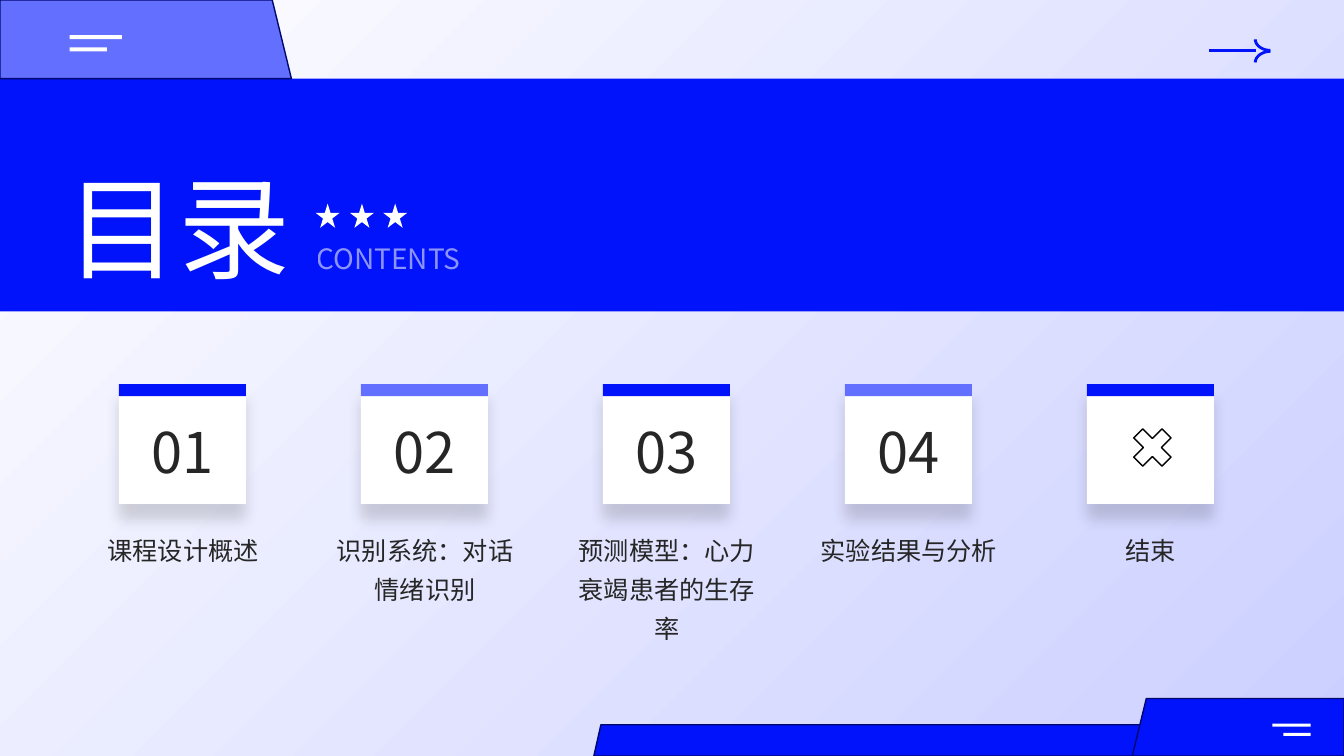
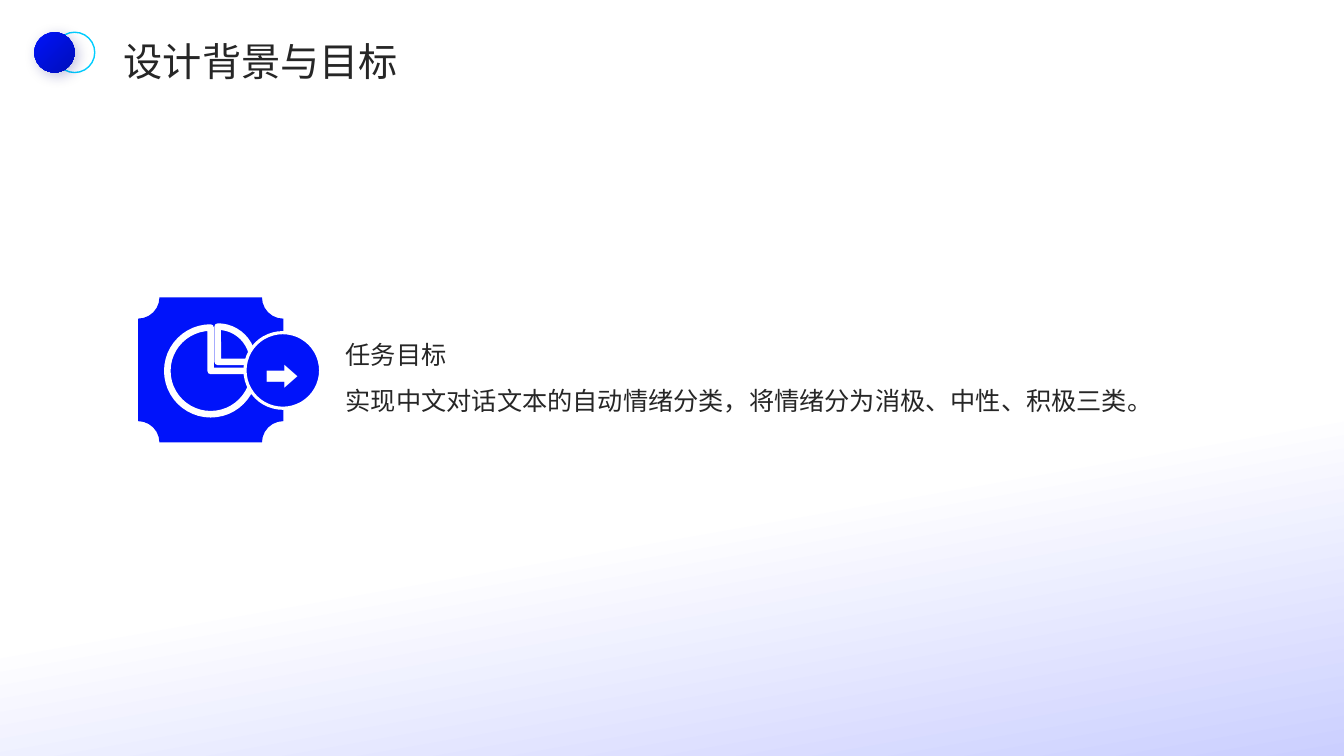
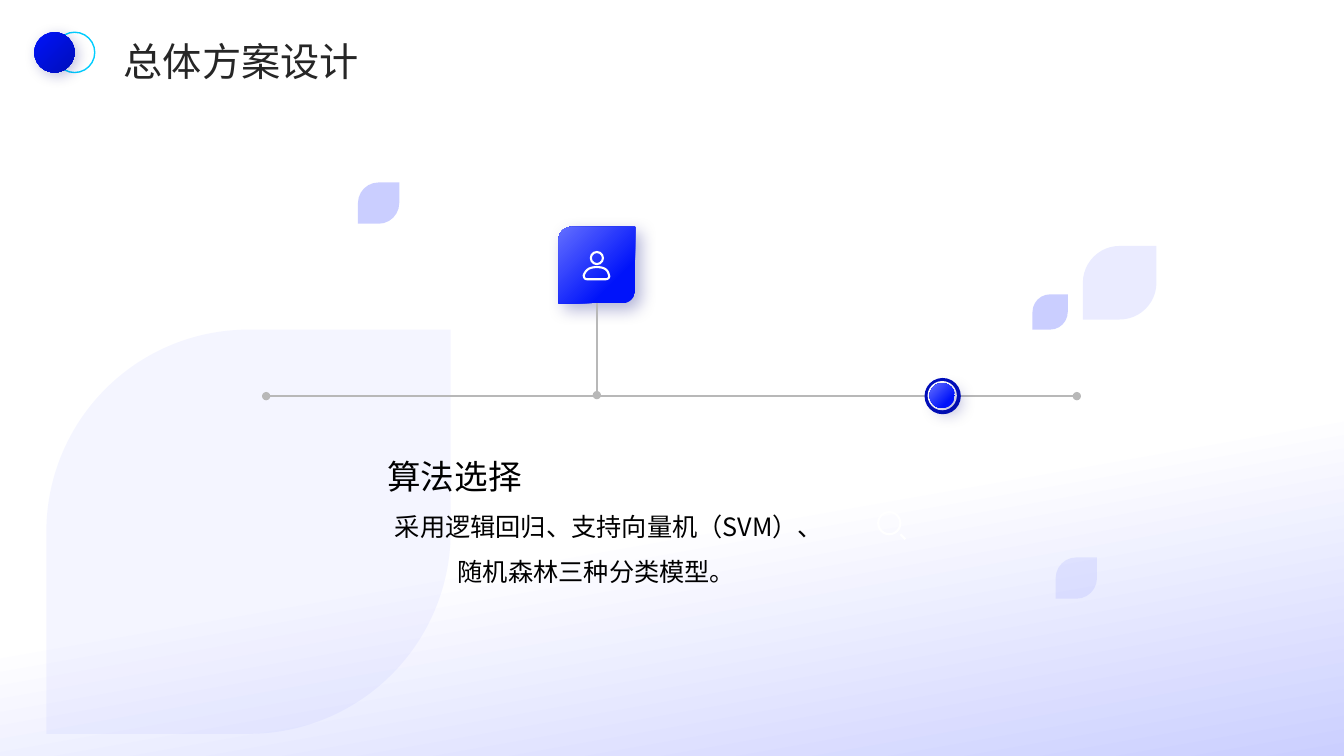
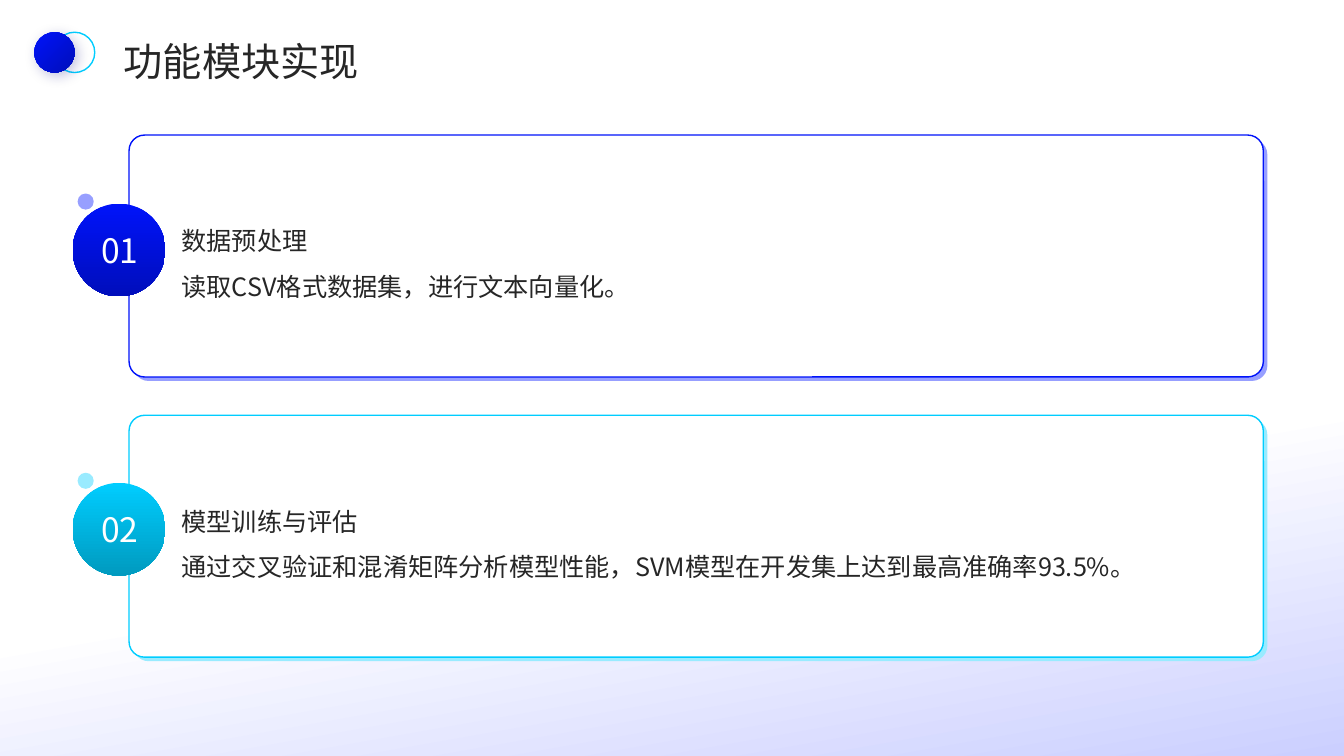
"""Build four course-design slides: contents, goals, overall plan and modules."""
from dataclasses import dataclass
from typing import Any, Optional

from lxml import etree
from pptx import Presentation
from pptx.dml.color import RGBColor
from pptx.enum.shapes import MSO_CONNECTOR, MSO_SHAPE as Shape
from pptx.enum.text import MSO_ANCHOR as Anchor, PP_ALIGN as Align
from pptx.oxml.ns import qn
from pptx.util import Emu, Pt

PX = 9144
WIDTH, HEIGHT = 1333, 750
FONT = "Noto Sans CJK SC"
BLUE, DEEP, PERIWINKLE, LILAC, MIST = "0013FA", "000EBB", "636FFF", "979FFF", "CBCFFF"
CYAN, TEAL, ICE = "00CDFF", "009ABF", "99EBFF"
WHITE, BLACK, INK, GREY, NAVY, EDGE = "FFFFFF", "000000", "262626", "B8B8B8", "00097D", "00086E"

Point = tuple[float, float]


@dataclass(frozen=True)
class Box:
    left: int
    top: int
    width: int
    height: int

    def emu(self) -> tuple[Emu, ...]:
        return tuple(Emu(n * PX) for n in (self.left, self.top, self.width, self.height))


@dataclass(frozen=True)
class Gradient:
    stops: tuple[tuple[int, str], ...]
    angle: Optional[int] = None


@dataclass(frozen=True)
class Shadow:
    color: str
    alpha: int
    blur: int
    distance: int
    angle: int


@dataclass(frozen=True)
class Module:
    number: str
    heading: str
    body: str
    top: int
    circle_top: int
    color: str
    dark: str
    pale: str


PAGE = Box(0, 0, WIDTH, HEIGHT)
PAGE_FILL = Gradient(((2, WHITE), (65, WHITE), (100, MIST)), 80)
GLOW_FILL = Gradient(((0, PERIWINKLE), (73, BLUE)))
GLOW_SHADOW = Shadow(NAVY, 30, 12, 6, 45)
CONTENTS = ("课程设计概述", "识别系统：对话情绪识别", "预测模型：心力衰竭患者的生存率", "实验结果与分析", "结束")
MODULES = (
    Module("01", "数据预处理", "读取CSV格式数据集，进行文本向量化。", 134, 202, BLUE, DEEP, LILAC),
    Module("02", "模型训练与评估", "通过交叉验证和混淆矩阵分析模型性能，SVM模型在开发集上达到最高准确率93.5%。",
           412, 479, CYAN, TEAL, ICE),
)
LEAVES = ((Box(1047, 553, 41, 41), 20), (Box(1024, 292, 35, 35), 50),
          (Box(355, 181, 41, 41), 50), (Box(1074, 244, 73, 73), 20))


def rgb(color: str) -> RGBColor:
    return RGBColor.from_string(color)


def child(parent: Any, tag: str, **attributes: Any) -> Any:
    return etree.SubElement(parent, qn(tag), {key: str(value) for key, value in attributes.items()})


def set_alpha(fill_parent: Any, percent: int) -> None:
    color = next(fill_parent.iter(qn("a:srgbClr")))
    child(color, "a:alpha", val=percent * 1000)


def set_gradient(shape: Any, gradient: Gradient) -> None:
    shape.fill.solid()
    properties = shape._element.spPr
    solid = properties.find(qn("a:solidFill"))
    fill = etree.Element(qn("a:gradFill"), rotWithShape="1")
    stops = child(fill, "a:gsLst")
    for position, color in gradient.stops:
        child(child(stops, "a:gs", pos=position * 1000), "a:srgbClr", val=color)
    if gradient.angle is None:
        child(child(fill, "a:path", path="circle"), "a:fillToRect", r=100000, b=100000)
    else:
        child(fill, "a:lin", ang=gradient.angle * 60000, scaled=0)
    properties.replace(solid, fill)


def set_shadow(shape: Any, shadow: Shadow) -> None:
    effects = shape._element.spPr.find(qn("a:effectLst"))
    outer = child(effects, "a:outerShdw", blurRad=Pt(shadow.blur), dist=Pt(shadow.distance),
                  dir=shadow.angle * 60000, algn="t", rotWithShape=0)
    color = child(outer, "a:srgbClr", val=shadow.color)
    child(color, "a:alpha", val=shadow.alpha * 1000)


def style(shape: Any, fill: str | Gradient | None, line: Optional[str], weight: float) -> Any:
    shape.shadow.inherit = False
    if isinstance(fill, Gradient):
        set_gradient(shape, fill)
    elif fill:
        shape.fill.solid()
        shape.fill.fore_color.rgb = rgb(fill)
    else:
        shape.fill.background()
    if line:
        shape.line.color.rgb = rgb(line)
        shape.line.width = Pt(weight)
    else:
        shape.line.fill.background()
    return shape


def add_shape(slide: Any, kind: Shape, box: Box, fill: str | Gradient | None = None,
              line: Optional[str] = None, weight: float = 1, adjust: tuple[float, ...] = (),
              shadow: Optional[Shadow] = None) -> Any:
    shape = slide.shapes.add_shape(kind, *box.emu())
    for index, value in enumerate(adjust):
        shape.adjustments[index] = value
    style(shape, fill, line, weight)
    if shadow:
        set_shadow(shape, shadow)
    return shape


def add_outline(slide: Any, points: list[Point], fill: Optional[str], line: str,
                weight: float = 1, close: bool = True) -> Any:
    corners = [(round(x * PX), round(y * PX)) for x, y in points]
    builder = slide.shapes.build_freeform(*corners[0], scale=1.0)
    builder.add_line_segments(corners[1:], close=close)
    return style(builder.convert_to_shape(), fill, line, weight)


def curve(start: Point, first: Point, second: Point, end: Point, steps: int = 12) -> list[Point]:
    points = []
    for step in range(steps + 1):
        t = step / steps
        weights = ((1 - t) ** 3, 3 * t * (1 - t) ** 2, 3 * t * t * (1 - t), t ** 3)
        handles = (start, first, second, end)
        points.append((sum(w * p[0] for w, p in zip(weights, handles)),
                       sum(w * p[1] for w, p in zip(weights, handles))))
    return points


def add_line(slide: Any, start: tuple[int, int], end: tuple[int, int], color: str,
             weight: float, head: bool = False, tail: bool = False) -> Any:
    connector = slide.shapes.add_connector(
        MSO_CONNECTOR.STRAIGHT, *(Emu(n * PX) for n in (*start, *end)))
    connector.line.color.rgb = rgb(color)
    connector.line.width = Pt(weight)
    line = connector.line._get_or_add_ln()
    for tag, wanted in (("a:headEnd", head), ("a:tailEnd", tail)):
        if wanted:
            child(line, tag, type="oval")
    child(connector._element.spPr, "a:effectLst")
    return connector


def add_text(slide: Any, box: Box, lines: list[str], size: float, color: str, align: Align = Align.LEFT,
             spacing: float = 1.0, middle: bool = False, inset: bool = True) -> Any:
    frame = slide.shapes.add_textbox(*box.emu()).text_frame
    frame.word_wrap = True
    frame.vertical_anchor = Anchor.MIDDLE if middle else Anchor.TOP
    if not inset:
        frame.margin_left = frame.margin_right = frame.margin_top = frame.margin_bottom = 0
    frame.text = "\n".join(lines)
    for paragraph in frame.paragraphs:
        paragraph.alignment = align
        paragraph.line_spacing = spacing
        for run in paragraph.runs:
            run.font.size = Pt(size)
            run.font.name = FONT
            run.font.color.rgb = rgb(color)
            child(run._r.get_or_add_rPr(), "a:ea", typeface=FONT)
    return frame


def new_slide(presentation: Any) -> Any:
    slide = presentation.slides.add_slide(presentation.slide_layouts[6])
    add_shape(slide, Shape.RECTANGLE, PAGE, PAGE_FILL)
    return slide


def add_title(slide: Any, title: str) -> None:
    add_text(slide, Box(113, 27, 1146, 55), [title], 28, INK, spacing=1.1)
    ring = add_shape(slide, Shape.OVAL, Box(54, 32, 40, 40), line=CYAN)
    disc = add_shape(slide, Shape.OVAL, Box(34, 32, 40, 40), Gradient(((0, BLUE), (99, DEEP)), 45),
                     shadow=Shadow(NAVY, 25, 10, 3, 45))
    slide.shapes.add_group_shape(shapes=[ring, disc])


def draw_contents(presentation: Any) -> None:
    slide = new_slide(presentation)
    add_shape(slide, Shape.RECTANGLE, PAGE, Gradient(((0, WHITE), (100, MIST)), 45))
    add_shape(slide, Shape.RECTANGLE, Box(0, 78, WIDTH, 231), BLUE)
    add_line(slide, (1199, 50), (1246, 50), BLUE, 2)
    for y, bend, tip in ((62, 56, 51), (39, 45, 50)):
        barb = curve((1245, y), (1245, bend), (1252, tip), (1260, tip))
        add_outline(slide, barb, None, BLUE, 2, close=False)
    add_outline(slide, [(270, 0), (0, 0), (0, 78), (289, 78)], PERIWINKLE, EDGE)
    for slant, top, left in ((596, 719, 589), (1137, 693, 1123)):
        add_outline(slide, [(slant, top), (WIDTH, top), (WIDTH, HEIGHT), (left, HEIGHT)], BLUE, EDGE)
    for bar in (Box(1262, 718, 38, 3), Box(1273, 727, 27, 3), Box(69, 35, 52, 4), Box(69, 47, 37, 4)):
        add_shape(slide, Shape.RECTANGLE, bar, WHITE)
    subtitle = add_text(slide, Box(304, 235, 266, 44), ["CONTENTS"], 20, WHITE)
    set_alpha(subtitle.paragraphs[0].runs[0]._r, 55)
    add_text(slide, Box(56, 152, 280, 145), ["目录"], 80, WHITE)
    for left in (313, 347, 380):
        add_shape(slide, Shape.STAR_5_POINT, Box(left, 202, 24, 24), WHITE)

    for index, label in enumerate(CONTENTS):
        left = 118 + index * 240
        add_shape(slide, Shape.RECTANGLE, Box(left, 381, 126, 119), WHITE,
                  shadow=Shadow(BLACK, 15, 10, 11, 90))
        add_shape(slide, Shape.RECTANGLE, Box(left, 381, 126, 12), PERIWINKLE if index % 2 else BLUE)
        if index < len(CONTENTS) - 1:
            add_text(slide, Box(left, 409, 127, 70), [f"{index + 1:02d}"], 40, INK, Align.CENTER,
                     1.1, middle=True, inset=False)
        else:
            add_shape(slide, Shape.MATH_MULTIPLY, Box(left + 38, 417, 54, 54), line=BLACK)
        add_text(slide, Box(left - 46, 517, 219, 116), [label], 18, INK, Align.CENTER, 1.3)


def draw_goals(presentation: Any) -> None:
    slide = new_slide(presentation)
    add_shape(slide, Shape.PLAQUE, Box(137, 295, 144, 144), BLUE, adjust=(0.147,))
    add_text(slide, Box(343, 253, 790, 228),
             ["任务目标", "实现中文对话文本的自动情绪分类，将情绪分为消极、中性、积极三类。"],
             18, INK, spacing=1.5, middle=True, inset=False)
    add_shape(slide, Shape.PIE, Box(166, 325, 86, 86), None, WHITE, 4.7, (0, 162))
    add_shape(slide, Shape.PIE, Box(181, 324, 70, 70), None, WHITE, 4.7, (162, 0))
    add_shape(slide, Shape.OVAL, Box(243, 330, 75, 75), BLUE, WHITE, 2.25)
    add_text(slide, Box(252, 345, 57, 45), ["➡"], 24, WHITE, Align.CENTER, 1.3, middle=True, inset=False)
    add_title(slide, "设计背景与目标")


def draw_plan(presentation: Any) -> None:
    slide = new_slide(presentation)
    for box, alpha in ((Box(46, 327, 401, 401), 10), *LEAVES):
        leaf = add_shape(slide, Shape.ROUND_2_DIAG_RECTANGLE, box, LILAC, adjust=(0.5, 0))
        set_alpha(leaf._element.spPr, alpha)
    add_line(slide, (264, 393), (1068, 393), GREY, 1.5, head=True, tail=True)
    add_shape(slide, Shape.OVAL, Box(871, 508, 22, 22), line=WHITE, weight=1.5)
    add_line(slide, (893, 530), (898, 535), WHITE, 1.5)
    card = add_shape(slide, Shape.ROUND_2_DIAG_RECTANGLE, Box(554, 225, 76, 76), GLOW_FILL,
                     shadow=GLOW_SHADOW)
    stem = add_line(slide, (592, 392), (592, 301), GREY, 1.5, head=True)
    stem.end_connect(card, 2)
    add_shape(slide, Shape.OVAL, Box(586, 250, 12, 12), line=WHITE, weight=1.5)
    shoulders = (curve((579, 273), (581, 268), (584, 265), (592, 265))
                 + curve((592, 265), (600, 265), (603, 268), (604, 273))
                 + curve((604, 273), (605, 275), (603, 277), (601, 277))
                 + curve((582, 277), (580, 277), (579, 275), (579, 273)))
    add_outline(slide, shoulders, None, WHITE, 1.5)
    frame = add_text(slide, Box(384, 432, 415, 223),
                     ["算法选择", "采用逻辑回归、支持向量机（SVM）、随机森林三种分类模型。"],
                     18, BLACK, Align.CENTER, 1.5, inset=False)
    heading = frame.paragraphs[0]
    heading.alignment = Align.LEFT
    heading.runs[0].font.size = Pt(24)
    rim = add_shape(slide, Shape.OVAL, Box(917, 375, 36, 36), DEEP)
    gap = add_shape(slide, Shape.OVAL, Box(920, 378, 29, 29), WHITE)
    slide.shapes.add_group_shape(shapes=[rim, gap])
    add_shape(slide, Shape.OVAL, Box(922, 380, 25, 25), GLOW_FILL, shadow=GLOW_SHADOW)
    add_title(slide, "总体方案设计")


def draw_modules(presentation: Any) -> None:
    slide = new_slide(presentation)
    for module in MODULES:
        panel = Box(128, module.top, 1125, 240)
        backing = Box(132, module.top + 4, 1125, 240)
        add_shape(slide, Shape.ROUNDED_RECTANGLE, backing, module.pale, adjust=(0.064,))
        add_shape(slide, Shape.ROUNDED_RECTANGLE, panel, WHITE, module.color, adjust=(0.064,))
        add_text(slide, Box(180, module.top + 25, 1052, 190), [module.heading, module.body],
                 18, INK, spacing=1.5, middle=True, inset=False)
        add_shape(slide, Shape.OVAL, Box(72, module.circle_top, 92, 92),
                  Gradient(((0, module.color), (100, module.dark)), 90))
        add_text(slide, Box(91, module.circle_top + 25, 56, 42), [module.number], 24, WHITE,
                 Align.CENTER, middle=True, inset=False)
        add_shape(slide, Shape.OVAL, Box(77, module.circle_top - 10, 16, 16), module.pale)
    add_title(slide, "功能模块实现")


def main() -> None:
    presentation = Presentation()
    presentation.slide_width = Emu(WIDTH * PX)
    presentation.slide_height = Emu(HEIGHT * PX)
    for draw in (draw_contents, draw_goals, draw_plan, draw_modules):
        draw(presentation)
    presentation.save("out.pptx")


if __name__ == "__main__":
    main()
